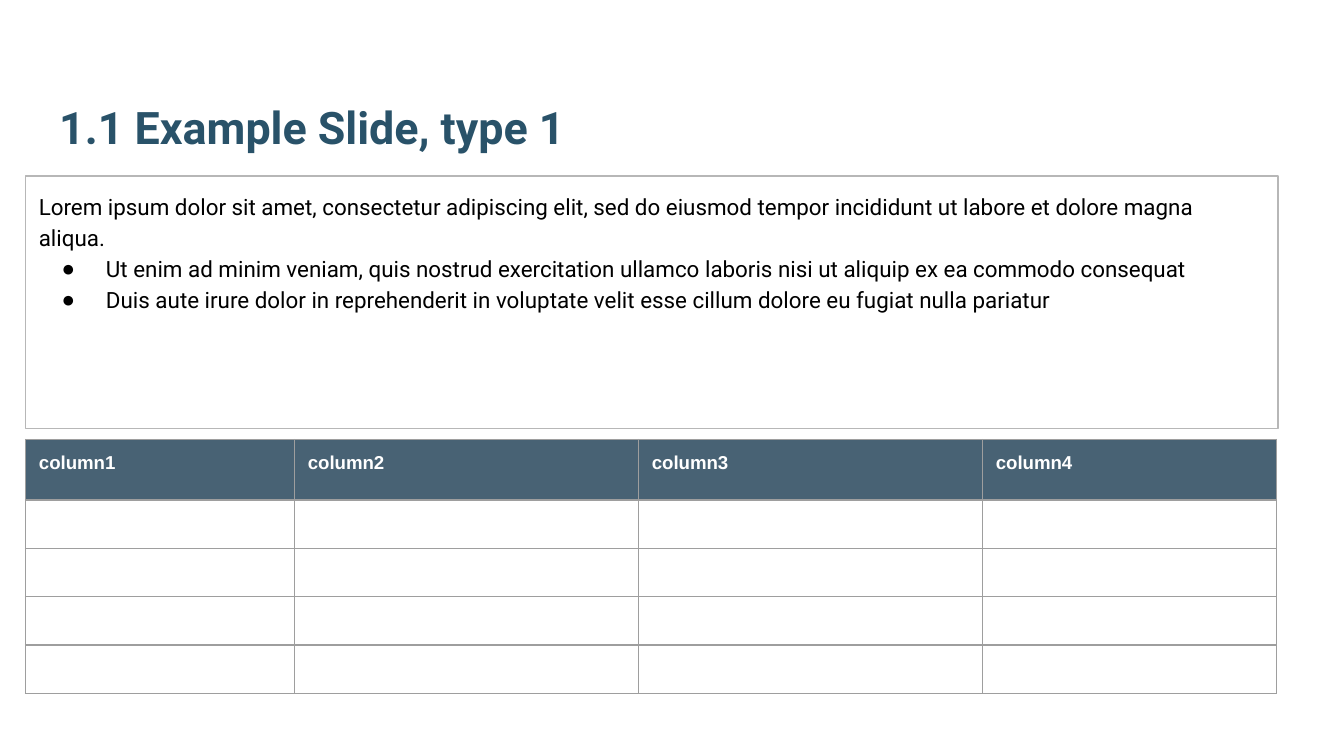
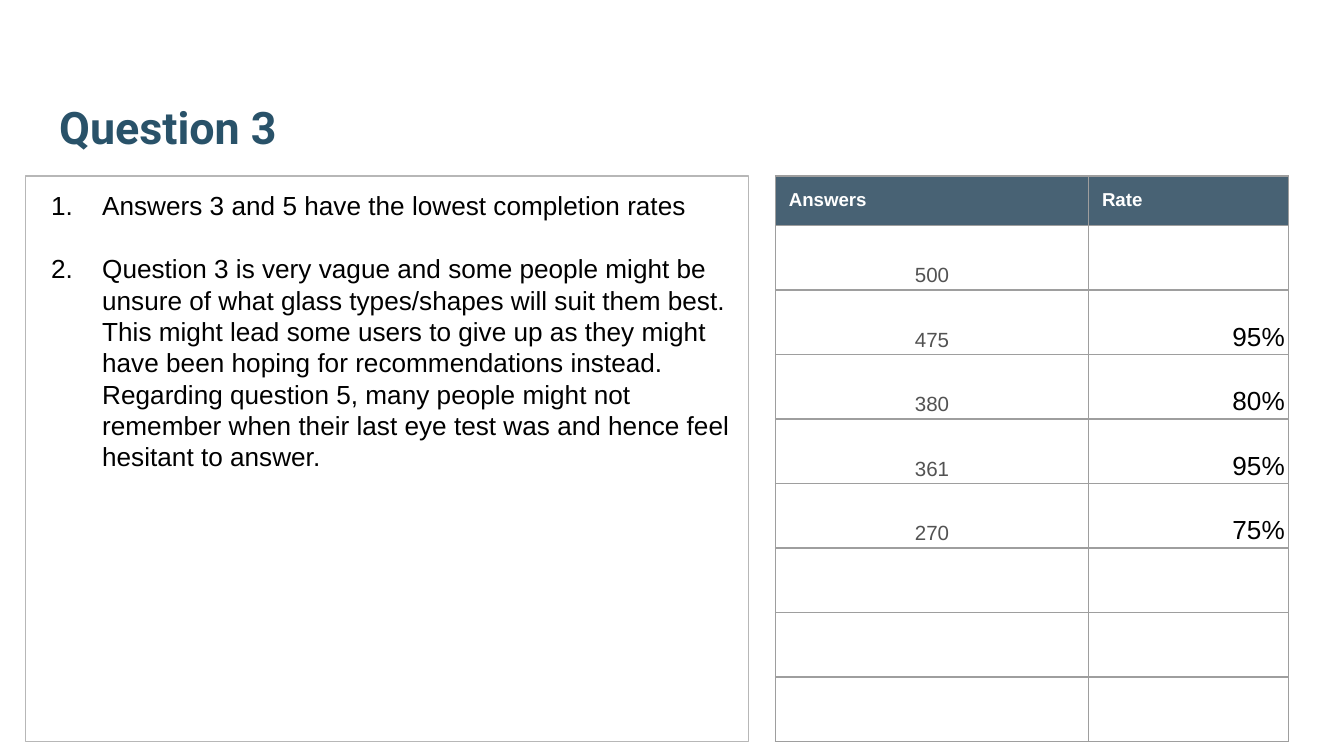
from pptx import Presentation
from pptx.dml.color import RGBColor
from pptx.enum.text import MSO_ANCHOR, MSO_AUTO_SIZE, PP_ALIGN
from pptx.oxml import parse_xml
from pptx.oxml.ns import nsdecls, qn
from pptx.util import Inches, Pt

BLUE = RGBColor(0x29, 0x52, 0x69)
NAVY = RGBColor(0x20, 0x40, 0x56)
RULE = RGBColor(0x9E, 0x9E, 0x9E)
EDGE = RGBColor(0xB7, 0xB7, 0xB7)
GREY = RGBColor(0x52, 0x52, 0x52)
BLACK = RGBColor(0, 0, 0)
WHITE = RGBColor(0xFF, 0xFF, 0xFF)

WIDTH = 10
LEFT, TOP = 0.19, 1.31
PAD = 0.1
THIN = Pt(0.75)

TITLE = dict(name="Roboto", size=Pt(24), bold=True, color=BLUE)
PROSE = dict(name="Roboto", size=Pt(12), color=BLACK)
LIST = dict(name="Arial", size=Pt(14), color=BLACK)
HEAD = dict(name="Arial", size=Pt(10), bold=True, color=WHITE)
COUNT = dict(name="Arial", size=Pt(11), bold=False, color=GREY)
RATE = dict(name="Arial", size=Pt(14), bold=False, color=BLACK)

DOT = '<a:buChar {} char="●"/>'
NUMBER = '<a:buAutoNum {} type="arabicPeriod"/>'


def style(font, form):
    for key, value in form.items():
        if key == "color":
            font.color.rgb = value
        else:
            setattr(font, key, value)


def place(shape, box):
    for key, value in zip(("left", "top", "width", "height"), box):
        setattr(shape, key, Inches(value))


def pad(item, left, top, right, low):
    """Set the inner margins of a text frame or a cell."""
    for side, value in dict(left=left, top=top, right=right, bottom=low).items():
        setattr(item, "margin_" + side, Inches(value))


def mark(para, bullet, indent, hang):
    """Give a paragraph a black bullet or number with a hanging indent."""
    props = para._p.get_or_add_pPr()
    props.set("marL", str(Inches(indent)))
    props.set("indent", str(-Inches(hang)))
    space = nsdecls("a")
    for xml in (f'<a:buClr {space}><a:srgbClr val="{BLACK}"/></a:buClr>',
                f'<a:buFont {space} typeface="Arial"/>',
                bullet.format(space)):
        props.append(parse_xml(xml))


def add_slide(deck, text):
    slide = deck.slides.add_slide(deck.slide_layouts[5])
    title = slide.shapes.title
    place(title, (0.34, 0.32, 9.32, 0.92))
    frame = title.text_frame
    frame.text = text
    frame.auto_size = MSO_AUTO_SIZE.NONE
    frame.vertical_anchor = MSO_ANCHOR.BOTTOM
    pad(frame, PAD, PAD, PAD, PAD)
    para = frame.paragraphs[0]
    para.alignment = PP_ALIGN.LEFT
    style(para.runs[0].font, TITLE)
    return slide


def add_panel(slide, box, lines, form, inset=PAD, pitch=1.0, gap=0):
    """Add an outlined text panel; each line is (text, mark settings or None)."""
    panel = slide.shapes.add_textbox(*map(Inches, box))
    panel.line.color.rgb = EDGE
    panel.line.width = THIN
    frame = panel.text_frame
    frame.word_wrap = True
    pad(frame, inset, PAD, PAD, PAD)
    for i, (text, bullet) in enumerate(lines):
        para = frame.add_paragraph() if i else frame.paragraphs[0]
        if bullet:
            mark(para, *bullet)
        para.line_spacing = pitch
        if i and gap:
            para.space_before = Pt(gap)
        run = para.add_run()
        run.text = text
        style(run.font, form)


def frame_cell(cell):
    props = cell._tc.get_or_add_tcPr()
    for i, side in enumerate("LRTB"):
        props.insert(i, parse_xml(
            f'<a:ln{side} {nsdecls("a")} w="{THIN}"><a:solidFill>'
            f'<a:srgbClr val="{RULE}"/></a:solidFill></a:ln{side}>'))


def fill_head(cell):
    cell.fill.solid()
    cell.fill.fore_color.rgb = NAVY
    tone = cell._tc.tcPr.find(".//" + qn("a:srgbClr"))
    tone.append(parse_xml(f'<a:alpha {nsdecls("a")} val="82000"/>'))


def write(cell, text, form, align):
    para = cell.text_frame.paragraphs[0]
    para.alignment = align
    run = para.add_run()
    run.text = text
    style(run.font, form)


def add_grid(slide, spot, cols, rows, heads, data=(), forms=()):
    """Add a table with a dark head row; forms holds (format, align) by column."""
    size = sum(cols), sum(rows)
    table = slide.shapes.add_table(
        len(rows), len(cols), *map(Inches, spot + size)).table
    table.horz_banding = False
    for col, width in zip(table.columns, cols):
        col.width = Inches(width)
    for row, height in zip(table.rows, rows):
        row.height = Inches(height)
    for r in range(len(rows)):
        for c in range(len(cols)):
            cell = table.cell(r, c)
            if r == 0:
                fill_head(cell)
                pad(cell, PAD, PAD, PAD, PAD)
                write(cell, heads[c], HEAD, PP_ALIGN.LEFT)
            else:
                cell.fill.background()
                pad(cell, 0.03, 0.02, 0.03, 0.02)
                if r <= len(data) and data[r - 1][c]:
                    cell.vertical_anchor = MSO_ANCHOR.BOTTOM
                    write(cell, data[r - 1][c], *forms[c])
            frame_cell(cell)


def add_sample(deck):
    slide = add_slide(deck, "1.1 Example Slide, type 1")
    dot = (DOT, 0.5, 0.33)
    add_panel(slide, (LEFT, TOP, 9.32, 1.88), [
        ("Lorem ipsum dolor sit amet, consectetur adipiscing elit, sed do "
         "eiusmod tempor incididunt ut labore et dolore magna aliqua.", None),
        ("Ut enim ad minim veniam, quis nostrud exercitation ullamco laboris "
         "nisi ut aliquip ex ea commodo consequat", dot),
        ("Duis aute irure dolor in reprehenderit in voluptate velit esse "
         "cillum dolore eu fugiat nulla pariatur", dot),
    ], PROSE, pitch=1.15)
    add_grid(slide, (LEFT, 3.27), (2, 2.56, 2.56, 2.19), [0.45] + [0.36] * 4,
             [f"column{n}" for n in range(1, 5)])


def add_question(deck):
    slide = add_slide(deck, "Question 3")
    number = (NUMBER, 0.38, 0.38)
    add_panel(slide, (LEFT, TOP, 5.38, 4.21), [
        ("Answers 3 and 5 have the lowest completion rates", number),
        ("Question 3 is very vague and some people might be unsure of what "
         "glass types/shapes will suit them best. This might lead some users "
         "to give up as they might have been hoping for recommendations "
         "instead. Regarding question 5, many people might not remember when "
         "their last eye test was and hence feel hesitant to answer.", number),
    ], LIST, inset=0.19, gap=17)
    add_grid(slide, (5.77, TOP), (2.33, 1.49), [0.36] + [0.48] * 8,
             ("Answers", "Rate"),
             [("500", ""), ("475", "95%"), ("380", "80%"),
              ("361", "95%"), ("270", "75%")],
             [(COUNT, PP_ALIGN.CENTER), (RATE, PP_ALIGN.RIGHT)])


def main():
    deck = Presentation()
    deck.slide_width = Inches(WIDTH)
    deck.slide_height = Inches(WIDTH * 9 / 16)
    add_sample(deck)
    add_question(deck)
    deck.save("out.pptx")


if __name__ == "__main__":
    main()
